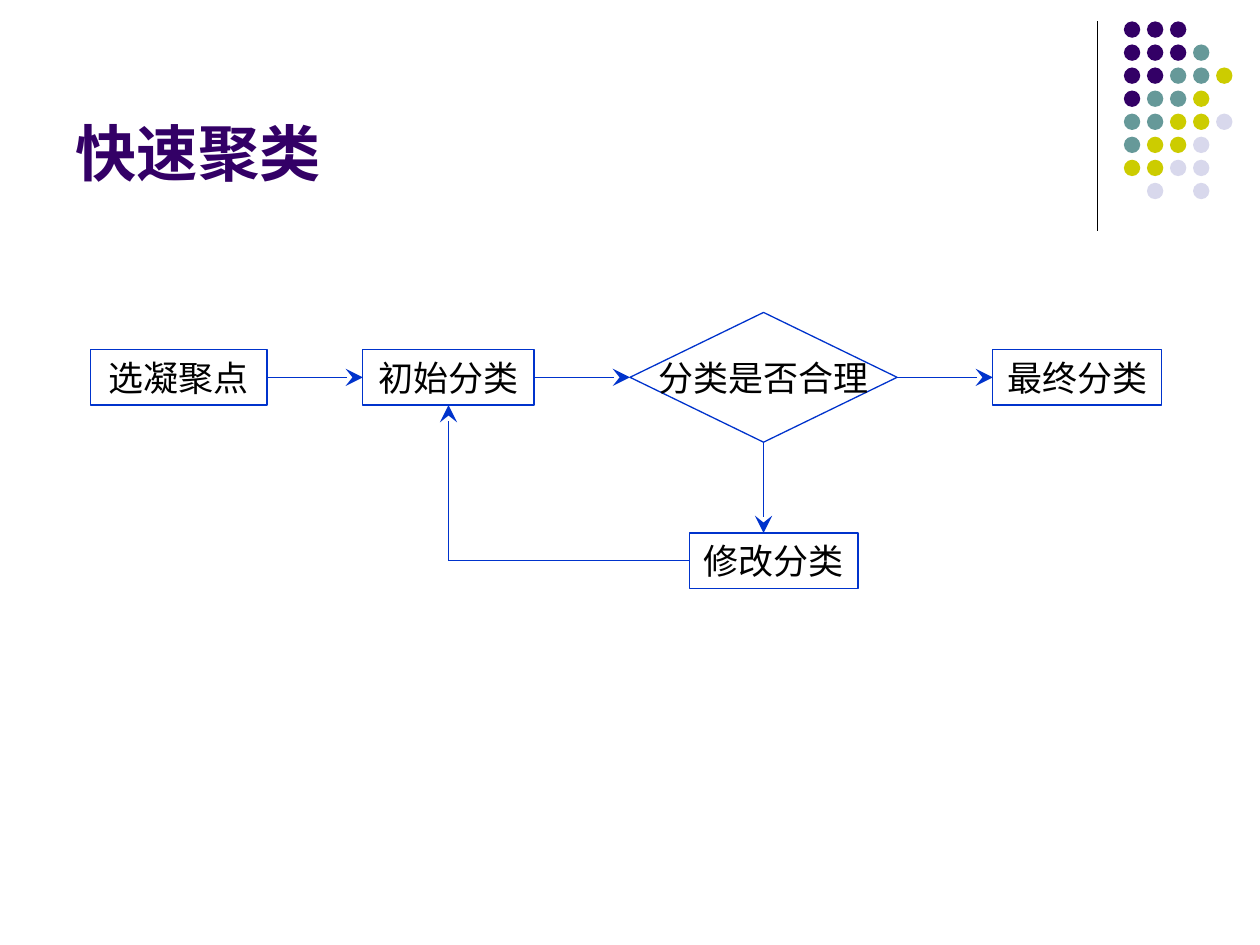
from dataclasses import dataclass
from lxml.etree import SubElement
from pptx import Presentation
from pptx.dml.color import RGBColor as Rgb
from pptx.enum.shapes import MSO_CONNECTOR as Connector, MSO_SHAPE as Shape
from pptx.enum.text import MSO_ANCHOR as Anchor, MSO_AUTO_SIZE as AutoSize, PP_ALIGN as Align
from pptx.oxml.ns import qn
from pptx.util import Inches, Pt

COLUMNS, ROWS = 100, 75
CELL = Inches(0.1)


@dataclass(frozen=True)
class Theme:
    purple: Rgb = Rgb.from_string("330066")
    teal: Rgb = Rgb.from_string("669999")
    olive: Rgb = Rgb.from_string("CCCC00")
    lavender: Rgb = Rgb.from_string("D8D8EC")
    blue: Rgb = Rgb.from_string("0033CC")
    black: Rgb = Rgb.from_string("000000")
    title_font: str = "Arial"
    step_font: str = "DejaVu Sans"
    title_size: Pt = Pt(35)
    step_size: Pt = Pt(20)
    stroke: Pt = Pt(0.75)


@dataclass(frozen=True)
class Box:
    left: float
    top: float
    width: float
    height: float

    def within(self, left, top, width, height):
        return Box(self.left + left, self.top + top, width, height)

    def emu(self):
        return [round(n * CELL) for n in (self.left, self.top, self.width, self.height)]


THEME = Theme()


def add_line(slide, start, end, color, arrow=False):
    points = [round(n * CELL) for n in (*start, *end)]
    line = slide.shapes.add_connector(Connector.STRAIGHT, *points)
    line.line.color.rgb = color
    line.line.width = THEME.stroke
    properties = line._element.spPr
    if arrow:
        SubElement(properties.find(qn("a:ln")), qn("a:tailEnd"),
                   type="stealth", w="lg", len="lg")
    SubElement(properties, qn("a:effectLst"))
    return line


def add_title(slide, box, wording):
    title = slide.shapes.title
    title.left, title.top, title.width, title.height = box.emu()
    frame = title.text_frame
    frame.text = wording
    frame.auto_size = AutoSize.NONE
    frame.vertical_anchor = Anchor.BOTTOM
    heading = frame.paragraphs[0]
    heading.alignment = Align.LEFT
    heading.font.name = THEME.title_font
    heading.font.size = THEME.title_size
    heading.font.bold = True
    heading.font.color.rgb = THEME.purple


def add_dot_ornament(slide, box):
    add_line(slide, (box.left, box.top), (box.left, box.top + box.height), THEME.black)
    colors = {"P": THEME.purple, "T": THEME.teal, "O": THEME.olive, "L": THEME.lavender}
    pattern = ["PPP", "PPPT", "PPTTO", "PTTO", "TTOOL", "TOOL", "OOLL", ".L.L"]
    pitch, diameter, indent = 1.83, 1.3, 2.1
    dots = slide.shapes.add_group_shape().shapes
    for row, codes in enumerate(pattern):
        for column, code in enumerate(codes):
            if code in colors:
                place = box.within(indent + column * pitch, row * pitch, diameter, diameter)
                dot = dots.add_shape(Shape.OVAL, *place.emu())
                dot.shadow.inherit = False
                dot.fill.solid()
                dot.fill.fore_color.rgb = colors[code]
                dot.line.fill.background()


def add_step(slide, box, wording, outline=Shape.RECTANGLE):
    step = slide.shapes.add_shape(outline, *box.emu())
    step.shadow.inherit = False
    step.fill.background()
    step.line.color.rgb = THEME.blue
    step.line.width = THEME.stroke
    frame = step.text_frame
    frame.text = wording
    frame.word_wrap = False
    frame.vertical_anchor = Anchor.MIDDLE
    label = frame.paragraphs[0]
    label.alignment = Align.CENTER
    label.font.name = THEME.step_font
    label.font.size = THEME.step_size
    label.font.color.rgb = THEME.black
    return step


def add_flowchart(slide, box):
    gap, step_height, middle = 7.6, 4.4, 5.15
    main_path = [
        ("选凝聚点", 14, step_height, Shape.RECTANGLE),
        ("初始分类", 13.6, step_height, Shape.RECTANGLE),
        ("分类是否合理", 21.2, 2 * middle, Shape.DIAMOND),
        ("最终分类", 13.4, step_height, Shape.RECTANGLE),
    ]
    steps, places, left = [], [], 0
    for wording, width, height, outline in main_path:
        place = box.within(left, middle - height / 2, width, height)
        places.append(place)
        steps.append(add_step(slide, place, wording, outline))
        left += width + gap

    for before, after in zip(steps, steps[1:]):
        arrow = add_line(slide, (0, 0), (1, 1), THEME.blue, arrow=True)
        arrow.begin_connect(before, 3)
        arrow.end_connect(after, 1)

    revision_place = box.within(47.5, box.height - step_height, 13.4, step_height)
    revision = add_step(slide, revision_place, "修改分类")
    initial, decision = places[1:3]
    decision_x = decision.left + decision.width / 2
    down = add_line(slide, (decision_x, decision.top + decision.height),
                    (decision_x, revision_place.top), THEME.blue, arrow=True)
    down.begin_connect(steps[2], 2)

    corner = (initial.left + initial.width / 2, revision_place.top + step_height / 2)
    back = add_line(slide, (revision_place.left, corner[1]), corner, THEME.blue)
    back.begin_connect(revision, 1)
    up = add_line(slide, corner, (corner[0], initial.top + step_height), THEME.blue, arrow=True)
    up.end_connect(steps[1], 2)


def main():
    deck = Presentation()
    deck.slide_width, deck.slide_height = COLUMNS * CELL, ROWS * CELL
    slide = deck.slides.add_slide(deck.slide_layouts[5])
    add_dot_ornament(slide, Box(87.1, 1.7, 10.7, 16.6))
    add_title(slide, Box(5, 1.3, 82.5, 14.2), "快速聚类")
    add_flowchart(slide, Box(7.2, 24.8, 85, 21.9))
    deck.save("out.pptx")


if __name__ == "__main__":
    main()
